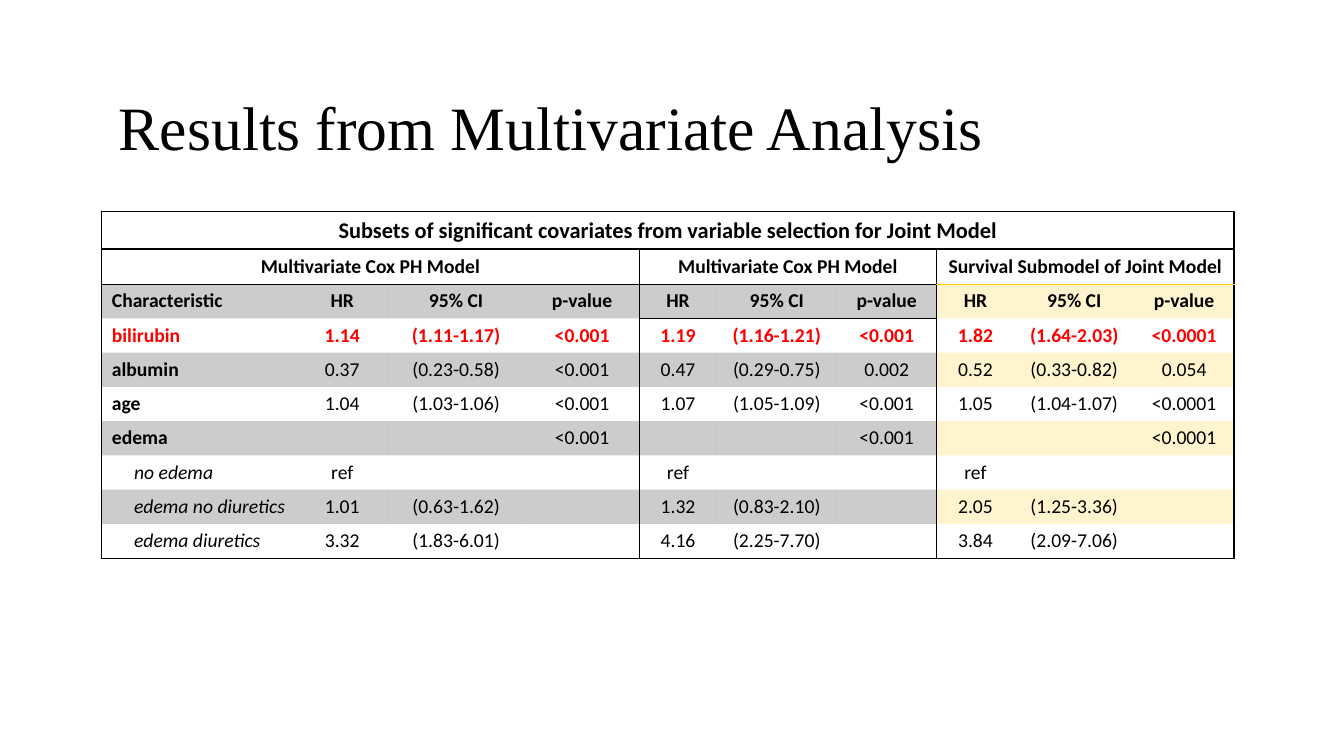
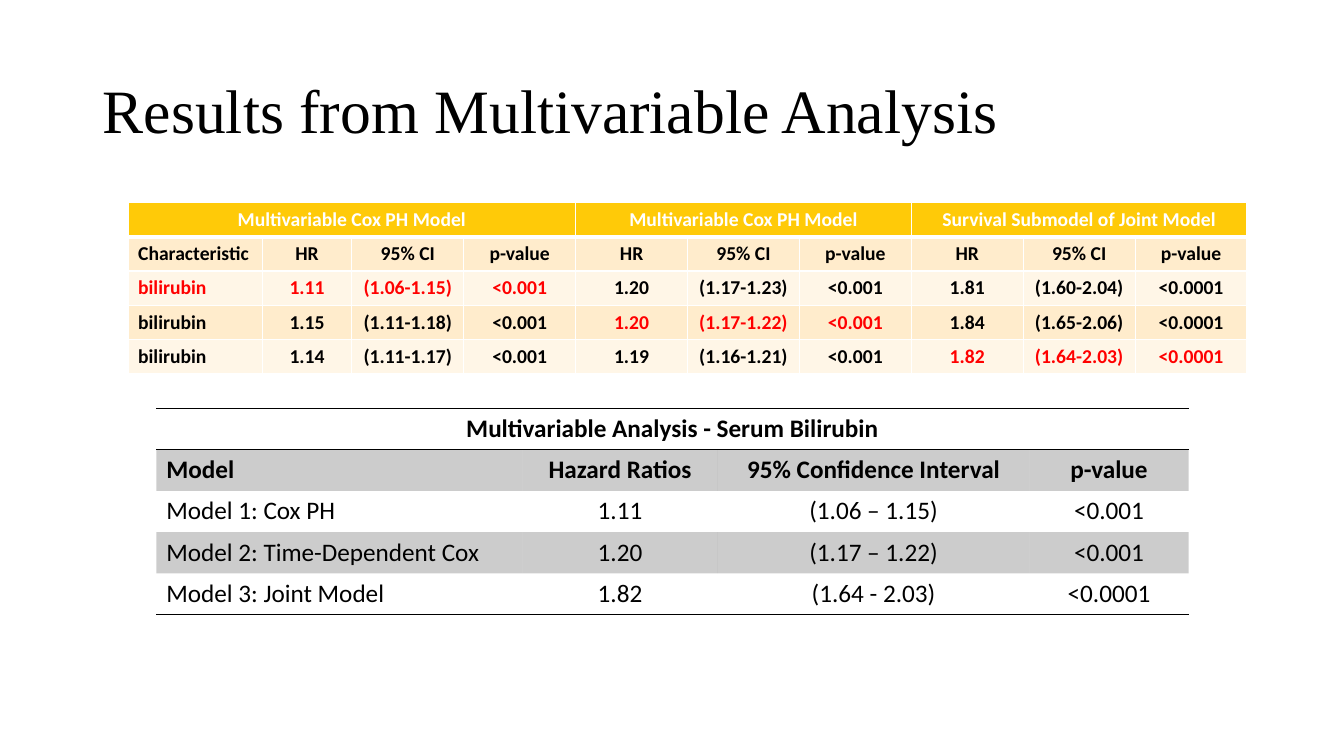
from lxml.etree import SubElement
from pptx import Presentation
from pptx.dml.color import RGBColor as RGB
from pptx.enum.text import MSO_ANCHOR as ANCHOR, MSO_AUTO_SIZE as FIT, PP_ALIGN as ALIGN
from pptx.oxml.ns import qn
from pptx.util import Inches, Pt

COLORS = {"black": "000000", "white": "FFFFFF", "red": "FF0000", "gold": "FFCA08",
          "cream": "FFECCC", "ivory": "FFF6E7"}
TITLE_FONT, TABLE_FONT = "Times New Roman", "Calibri"
NO_STYLE = "{2D5ABB26-0587-4C30-8999-92F81FD0307C}"
ROW = 0.34
STATS = ["HR", "95% CI", "p-value"]


def add_grid(s, left, top, cols, row_height, rows, spans, labels=True):
    """Add an unstyled table whose first row is merged into the given spans."""
    frame = s.shapes.add_table(len(rows), len(cols), Inches(left), Inches(top),
                               Inches(sum(cols)), Inches(row_height * len(rows)))
    table = frame.table
    table.first_row = table.horz_banding = False
    table._tbl.tblPr.find(qn("a:tableStyleId")).text = NO_STYLE
    for column, width in zip(table.columns, cols):
        column.width = Inches(width)
    for r, texts in enumerate(rows):
        for c, text in enumerate(texts):
            p = table.cell(r, c).text_frame.paragraphs[0]
            p.alignment = ALIGN.LEFT if labels and r and not c else ALIGN.CENTER
            if text:
                p.add_run().text = text
    start = 0
    for span in spans:
        if span > 1:
            table.cell(0, start).merge(table.cell(0, start + span - 1))
        start += span
    return table


def style_cell(cell, size=14, color="black", bold=False, italic=False,
               fill=None, alpha=None, edges=None):
    """Format text, fill and borders; edges maps L, R, T, B to (colour, points)."""
    p = cell.text_frame.paragraphs[0]
    for run in p.runs:
        font = run.font
        font.name, font.size, font.bold, font.italic = TABLE_FONT, Pt(size), bold, italic
        font.color.rgb = RGB.from_string(COLORS[color])
    if not p.runs:
        p._p.get_or_add_endParaRPr().set("sz", str(size * 100))
    tcPr = cell._tc.get_or_add_tcPr()
    for side in "LRTB":
        if edges and side in edges:
            line_color, points = edges[side]
            ln = SubElement(tcPr, qn("a:ln" + side), w=str(Pt(points)))
            SubElement(SubElement(ln, qn("a:solidFill")), qn("a:srgbClr"),
                       val=COLORS[line_color])
    if fill:
        cell.fill.solid()
        cell.fill.fore_color.rgb = RGB.from_string(COLORS[fill])
        if alpha:
            SubElement(tcPr.find(qn("a:solidFill"))[0], qn("a:alpha"), val=str(alpha * 1000))


prs = Presentation()
prs.slide_width, prs.slide_height = Inches(13.33), Inches(7.5)

slides = []
for text, left, top in [("Results from Multivariate Analysis", 1.08, 0.57),
                        ("Results from Multivariable Analysis", 0.92, 0.4)]:
    s = prs.slides.add_slide(prs.slide_layouts[5])
    title = s.shapes.title
    title.left, title.top = Inches(left), Inches(top)
    title.width, title.height = Inches(11.5), Inches(1.45)
    tf = title.text_frame
    tf.word_wrap, tf.auto_size, tf.vertical_anchor = True, FIT.NONE, ANCHOR.MIDDLE
    p = tf.paragraphs[0]
    p.alignment, p.line_spacing = ALIGN.LEFT, 0.9
    r = p.add_run()
    r.text = text
    r.font.name, r.font.size = TITLE_FONT, Pt(44)
    r.font.color.rgb = RGB.from_string(COLORS["black"])
    slides.append(s)
multivariate, multivariable = slides
thin = ("black", 1)

# Slide 1: three model tables side by side under one banner
LEFT, BANNER_TOP, MODELS_TOP = 1.01, 2.1, 2.48
stat_cols = [0.77, 1.19, 0.99]
labels = ["Characteristic", "bilirubin", "albumin", "age", "edema",
          "no edema", "edema no diuretics", "edema diuretics"]
cox = [["1.14", "(1.11-1.17)", "<0.001"], ["0.37", "(0.23-0.58)", "<0.001"],
       ["1.04", "(1.03-1.06)", "<0.001"], ["", "", "<0.001"], ["ref", "", ""],
       ["1.01", "(0.63-1.62)", ""], ["3.32", "(1.83-6.01)", ""]]
time_cox = [["1.19", "(1.16-1.21)", "<0.001"], ["0.47", "(0.29-0.75)", "0.002"],
            ["1.07", "(1.05-1.09)", "<0.001"], ["", "", "<0.001"], ["ref", "", ""],
            ["1.32", "(0.83-2.10)", ""], ["4.16", "(2.25-7.70)", ""]]
joint = [["1.82", "(1.64-2.03)", "<0.0001"], ["0.52", "(0.33-0.82)", "0.054"],
         ["1.05", "(1.04-1.07)", "<0.0001"], ["", "", "<0.0001"], ["ref", "", ""],
         ["2.05", "(1.25-3.36)", ""], ["3.84", "(2.09-7.06)", ""]]
cox_body = [[label, *stats] for label, stats in zip(labels, [STATS, *cox])]

# heading, body, columns, band colour, rows ruled below, outer sides ruled
models = [
    ("Multivariate Cox PH Model", cox_body, [1.94, 0.89, 1.37, 1.13], "black", (0, 8), "LR"),
    ("Multivariate Cox PH Model", [STATS, *time_cox], stat_cols, "black", (0, 1, 8), ""),
    ("Survival Submodel of Joint Model", [STATS, *joint], stat_cols, "gold", (0, 8), "LR"),
]
left = LEFT
for heading, body, cols, band, ruled, sides in models:
    n = len(cols)
    has_labels = n > len(STATS)
    rows = [[heading] + [""] * (n - 1), *body]
    table = add_grid(multivariate, left, MODELS_TOP, cols, ROW, rows, [n], has_labels)
    for r in range(len(rows)):
        for c in range(n):
            cell = table.cell(r, c)
            edges = {}
            if "L" in sides and c == 0:
                edges["L"] = thin
            if "R" in sides and (c == n - 1 or r == 0):
                edges["R"] = thin
            if r in ruled:
                edges["B"] = (band, 1) if r == 0 else thin
            is_label = has_labels and c == 0
            sublevel = is_label and r > 5
            if sublevel:
                cell.margin_left = Inches(0.32)
            style_cell(cell, color="red" if r == 2 else "black",
                       bold=r < 3 or (is_label and not sublevel), italic=sublevel,
                       fill=band if r % 2 else None, alpha=20, edges=edges)
    left += sum(cols)

banner = add_grid(multivariate, LEFT, BANNER_TOP, [left - LEFT], 0.37,
                  [["Subsets of significant covariates from variable selection for Joint Model"]],
                  [1])
style_cell(banner.cell(0, 0), size=16, bold=True,
           edges={"L": thin, "R": thin, "T": thin, "B": ("black", 2)})

# Slide 2: bilirubin in every model, the value of interest in red
unit = 1.11
rows = [
    ["Multivariable Cox PH Model", "", "", "", "Multivariable Cox PH Model", "", "",
     "Survival Submodel of Joint Model", "", ""],
    ["Characteristic", *STATS * 3],
    ["bilirubin", "1.11", "(1.06-1.15)", "<0.001", "1.20", "(1.17-1.23)", "<0.001",
     "1.81", "(1.60-2.04)", "<0.0001"],
    ["bilirubin", "1.15", "(1.11-1.18)", "<0.001", "1.20", "(1.17-1.22)", "<0.001",
     "1.84", "(1.65-2.06)", "<0.0001"],
    ["bilirubin", "1.14", "(1.11-1.17)", "<0.001", "1.19", "(1.16-1.21)", "<0.001",
     "1.82", "(1.64-2.03)", "<0.0001"],
]
table = add_grid(multivariable, 1.27, 2.01, [1.2 * unit, 0.8 * unit] + [unit] * 8, ROW,
                 rows, [4, 3, 3])
for r in range(len(rows)):
    for c in range(len(rows[0])):
        model = max(c - 1, 0) // 3
        edges = {side: ("white", 1) for side in "LRTB"}
        if r == 0:
            color, fill = "white", "gold"
            edges["B"] = ("white", 3)
        else:
            color = "red" if r == model + 2 else "black"
            fill = "cream" if r % 2 else "ivory"
            if r == 1:
                edges["T"] = ("white", 3)
        style_cell(table.cell(r, c), color=color, bold=True, fill=fill, edges=edges)

# Slide 2: summary of the three models
rows = [
    ["Multivariable Analysis - Serum Bilirubin", "", "", ""],
    ["Model", "Hazard Ratios", "95% Confidence Interval", "p-value"],
    ["Model 1: Cox PH", "1.11", "(1.06 – 1.15)", "<0.001"],
    ["Model 2: Time-Dependent Cox", "1.20", "(1.17 – 1.22)", "<0.001"],
    ["Model 3: Joint Model", "1.82", "(1.64 - 2.03)", "<0.0001"],
]
table = add_grid(multivariable, 1.55, 4.05, [3.63, 1.94, 3.09, 1.58], 0.41, rows, [4])
rules = {0: {"T": thin, "B": thin}, 4: {"B": thin}}
for r in range(len(rows)):
    for c in range(len(rows[0])):
        style_cell(table.cell(r, c), size=18, bold=r < 2,
                   fill="black" if r % 2 else None, alpha=20, edges=rules.get(r))

prs.save("out.pptx")
